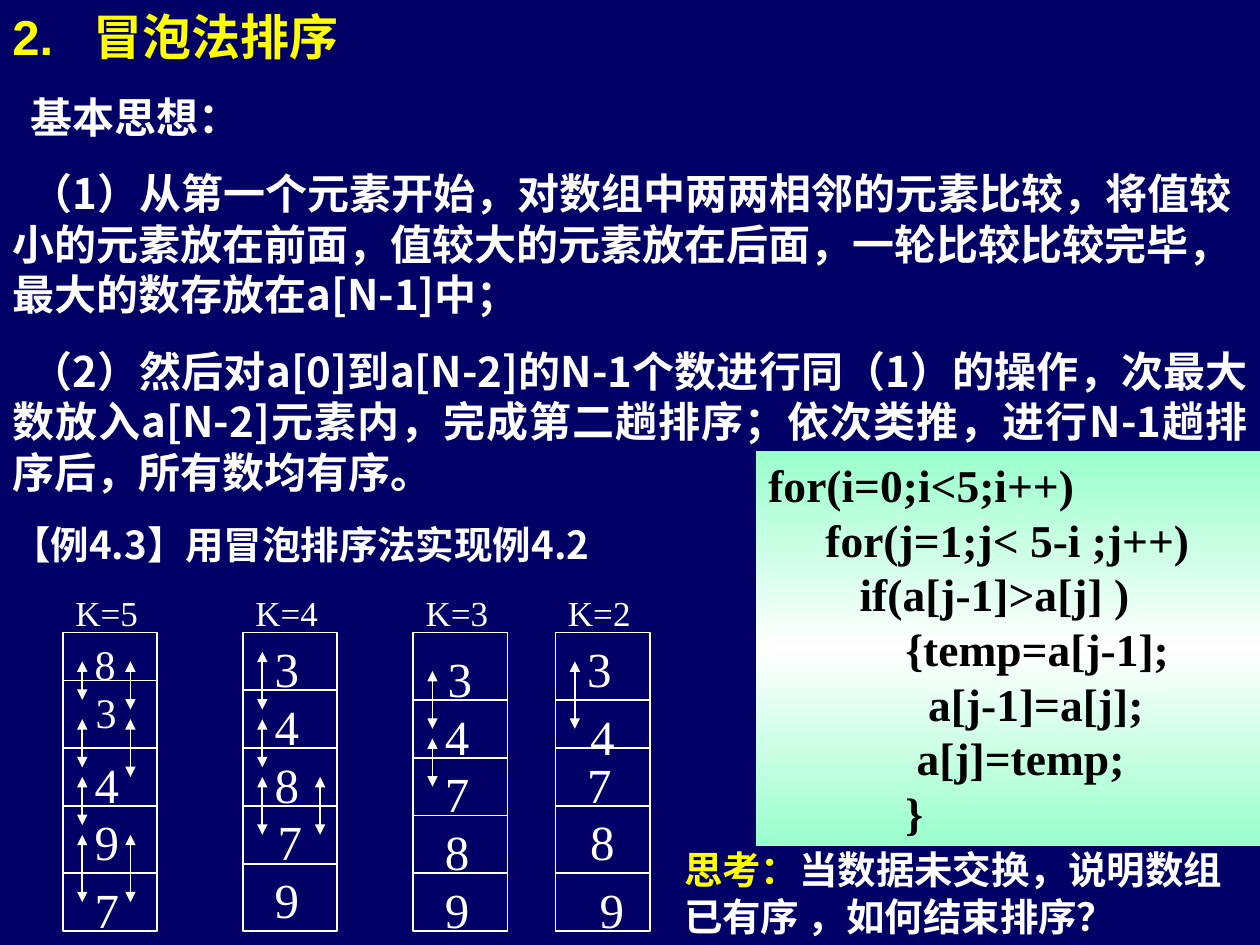
from copy import deepcopy
from dataclasses import dataclass

from lxml import etree
from pptx import Presentation
from pptx.dml.color import RGBColor
from pptx.enum.shapes import MSO_CONNECTOR, MSO_SHAPE
from pptx.enum.text import PP_ALIGN
from pptx.oxml.ns import qn
from pptx.util import Cm, Pt

STRAIGHT = MSO_CONNECTOR.STRAIGHT
RECT = MSO_SHAPE.RECTANGLE
LEFT, JUSTIFY = PP_ALIGN.LEFT, PP_ALIGN.JUSTIFY


@dataclass(frozen=True)
class Theme:
    navy: RGBColor = RGBColor(0x00, 0x00, 0x66)
    white: RGBColor = RGBColor(0xFF, 0xFF, 0xFF)
    yellow: RGBColor = RGBColor(0xFF, 0xFF, 0x00)
    mint: RGBColor = RGBColor(0x99, 0xFF, 0xCC)
    black: RGBColor = RGBColor(0x00, 0x00, 0x00)
    title: int = 28
    code: int = 26
    body: int = 24
    note: int = 22
    label: int = 20
    serif: str = "Times New Roman"
    sans: str = "Arial"
    cjk: str = "Noto Sans CJK SC"


T = Theme()


def add_text(tf, text, size=T.body, color=T.white, font=T.serif, bold=False,
             align=LEFT, before=0, indent=0, join=False):
    """Add a paragraph, or a run on the last paragraph when join is set."""
    tf.word_wrap = True
    p = tf.paragraphs[-1]
    if not join:
        if p.runs:
            p = tf.add_paragraph()
        p.alignment = align
        p.line_spacing = Pt(1.2 * size)
        p.space_before = Pt(before)
        if indent:
            p._p.get_or_add_pPr().set("indent", str(Cm(indent)))
    r = p.add_run()
    r.text = text
    r.font.size, r.font.bold, r.font.name = Pt(size), bold, font
    r.font.color.rgb = color
    etree.SubElement(r._r.get_or_add_rPr(), qn("a:ea"), typeface=T.cjk)
    return p


def add_line(x1, y1, x2, y2, arrows=False):
    """Draw a thin white line, with arrowheads at both ends if asked."""
    line = s.shapes.add_connector(STRAIGHT, Cm(x1), Cm(y1), Cm(x2), Cm(y2))
    line.line.color.rgb = T.white
    line.line.width = Pt(1)
    if arrows:
        ln = line.line._get_or_add_ln()
        for end in ("a:headEnd", "a:tailEnd"):
            etree.SubElement(ln, qn(end), type="triangle")
    etree.SubElement(line._element.spPr, qn("a:effectLst"))


prs = Presentation()
prs.slide_width, prs.slide_height = Cm(25.4), Cm(19.05)
s = prs.slides.add_slide(prs.slide_layouts[6])
s.background.fill.solid()
s.background.fill.fore_color.rgb = T.navy

# Title and explanation
tf = s.shapes.add_textbox(0, 0, Cm(25.4), Cm(11.56)).text_frame
p = add_text(tf, "2.\t冒泡法排序", T.title, T.yellow, T.sans, True, JUSTIFY)
tabs = etree.SubElement(p._p.get_or_add_pPr(), qn("a:tabLst"))
etree.SubElement(tabs, qn("a:tab"), pos=str(Cm(1.64)), algn="l")
for text, align in (
    ("基本思想：", LEFT),
    ("（1）从第一个元素开始，对数组中两两相邻的元素比较，将值较小的元素放在前面，"
     "值较大的元素放在后面，一轮比较比较完毕，最大的数存放在a[N-1]中；", LEFT),
    ("（2）然后对a[0]到a[N-2]的N-1个数进行同（1）的操作，次最大数放入a[N-2]元素内，"
     "完成第二趟排序；依次类推，进行N-1趟排序后，所有数均有序。", JUSTIFY),
):
    add_text(tf, text, font=T.cjk, bold=True, align=align, before=15, indent=0.36)
add_text(tf, "【例4.3】用冒泡排序法实现例4.2", T.note, font=T.cjk, bold=True,
         align=JUSTIFY, before=13.8)

# Sorting passes: everything inside a column sits on a grid of 31 units
TOP, WIDTH, HEIGHT = 12.75, 1.9, 6.02
U = HEIGHT / 31
# label, left, dividers, digits (text, x, y, size), arrows (x, y1, y2)
passes = (
    ("K=5", 1.27, (5, 12, 18, 25),
     (("8", 2, 0, T.body), ("3", 2.1, 5, T.body), ("4", 2, 12, T.title),
      ("9", 2, 18, T.title), ("7", 2, 25, T.title)),
     ((2, 3, 7), (2, 9, 14), (2, 15, 20), (2, 21, 28),
      (7, 3, 8), (7, 9, 15), (7, 21, 28))),
    ("K=4", 4.9, (6, 12, 18, 24),
     (("3", 2, 0, T.title), ("4", 2, 6, T.title), ("8", 2, 12, T.title),
      ("7", 2.3, 18, T.title), ("9", 2, 24, T.title)),
     ((2, 2, 8), (2, 9, 14), (2, 15, 21), (8, 15, 21))),
    ("K=3", 8.33, (7, 13, 19, 25),
     (("3", 2.3, 1, T.title), ("4", 2, 7, T.title), ("7", 2, 13, T.title),
      ("8", 2, 19, T.title), ("9", 2, 25, T.title)),
     ((2, 4, 10), (2, 11, 16))),
    ("K=2", 11.2, (7, 12, 18, 25),
     (("3", 2, 0, T.title), ("4", 2.3, 7, T.title), ("7", 2, 12, T.title),
      ("8", 2.3, 18, T.title), ("9", 3.3, 25, T.title)),
     ((2, 3, 10),)),
)
for label, left, dividers, digits, arrows in passes:
    sp = s.shapes.add_shape(RECT, Cm(left), Cm(TOP), Cm(WIDTH), Cm(HEIGHT))
    sp.shadow.inherit = False
    sp.fill.solid()
    sp.fill.fore_color.rgb = T.navy
    sp.line.color.rgb = T.white
    sp.line.width = Pt(1)
    for row in dividers:
        y = TOP + row * U
        add_line(left, y, left + WIDTH, y)
    tf = s.shapes.add_textbox(Cm(left), Cm(11.79), Cm(WIDTH), Cm(1.12)).text_frame
    add_text(tf, label, T.label)
    for text, x, row, size in digits:
        tf = s.shapes.add_textbox(Cm(left + x * U), Cm(TOP + row * U),
                                  Cm(1.3), Cm(1.45)).text_frame
        add_text(tf, text, size)
    for x, start, end in arrows:
        add_line(left + x * U, TOP + start * U, left + x * U, TOP + end * U, True)

# Code panel, indented by the width of one space
SPACE = 0.23
sp = s.shapes.add_shape(RECT, Cm(15.24), Cm(9.09), Cm(10.16), Cm(7.96))
sp.shadow.inherit = False
sp.line.fill.background()
sp.fill.gradient()
sp.fill.gradient_angle = 90
gs_list = sp._element.spPr.find(".//" + qn("a:gsLst"))
gs_list.insert(1, deepcopy(gs_list[0]))
for stop, position, color in zip(sp.fill.gradient_stops, (0, 0.5, 1),
                                 (T.mint, T.white, T.mint)):
    stop.position = position
    stop.color.rgb = color
sp.text_frame.vertical_anchor = None
sp.text_frame._txBody.bodyPr.set("anchor", "t")
for spaces, code in (
    (0, "for(i=0;i<5;i++)"),
    (5, "for(j=1;j< 5-i ;j++)"),
    (8, "if(a[j-1]>a[j] )"),
    (12, "{temp=a[j-1];"),
    (14, "a[j-1]=a[j];"),
    (13, "a[j]=temp;"),
    (12, "}"),
):
    add_text(sp.text_frame, code, T.code, T.black, bold=True, indent=spaces * SPACE)

# Question
tf = s.shapes.add_textbox(Cm(13.54), Cm(16.94), Cm(11.86), Cm(2.13)).text_frame
add_text(tf, "思考：", T.note, T.yellow, bold=True)
for text, font in (("当数据未交换，", T.serif), ("说明数组已有序", T.cjk),
                   (" ，如何", T.serif), ("结束排序？", T.cjk)):
    add_text(tf, text, T.note, font=font, bold=True, join=True)

prs.save("out.pptx")
